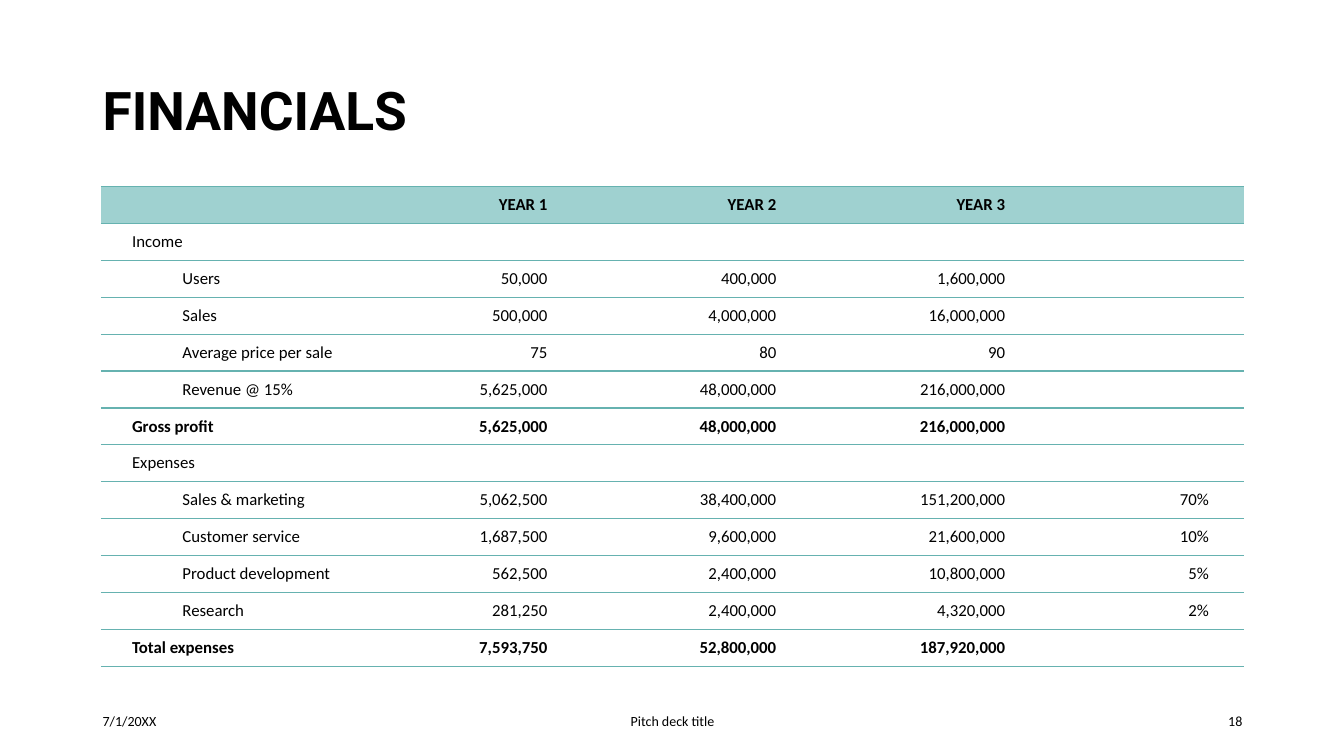
from dataclasses import dataclass

from lxml import etree
from pptx import Presentation
from pptx.dml.color import RGBColor
from pptx.enum.text import MSO_ANCHOR, PP_ALIGN
from pptx.oxml.ns import qn
from pptx.util import Emu, Pt

PX = 9144
LEFT, CENTER, RIGHT = PP_ALIGN.LEFT, PP_ALIGN.CENTER, PP_ALIGN.RIGHT
MIDDLE = MSO_ANCHOR.MIDDLE
COLORS = {"text": "000000", "header": "9FD1D0", "rule": "66B2B0"}
BODY_FONT, TITLE_FONT = "Calibri", "Roboto"
CELL_SIZE = 12
COLUMN_WIDTHS = (295, 158, 227, 227, 227)
TABLE_LEFT, TABLE_TOP, TABLE_HEIGHT = 100, 185, 476
LABEL_INSET, SHARE_INSET, ITEM_INDENT = 31, 35, 50


@dataclass(frozen=True)
class Label:
    text: str
    left: int
    top: int
    width: int
    height: int
    align: PP_ALIGN = LEFT
    size: int = 10
    font: str = BODY_FONT
    bold: bool = False
    line_spacing: float = 1.0


@dataclass(frozen=True)
class Row:
    label: str
    values: tuple[str, ...] = ("", "", "")
    share: str = ""
    bold: bool = False
    indented: bool = False
    header: bool = False


LABELS = (
    Label("FINANCIALS", 92, 40, 1150, 145, size=38, font=TITLE_FONT, bold=True, line_spacing=0.9),
    Label("7/1/20XX", 92, 695, 300, 40),
    Label("Pitch deck title", 442, 695, 450, 40, CENTER),
    Label("18", 942, 695, 300, 40, RIGHT),
)

ROWS = (
    Row("", ("YEAR 1", "YEAR 2", "YEAR 3"), bold=True, header=True),
    Row("Income"),
    Row("Users", ("50,000", "400,000", "1,600,000"), indented=True),
    Row("Sales", ("500,000", "4,000,000", "16,000,000"), indented=True),
    Row("Average price per sale", ("75", "80", "90"), indented=True),
    Row("Revenue @ 15%", ("5,625,000", "48,000,000", "216,000,000"), indented=True),
    Row("Gross profit", ("5,625,000", "48,000,000", "216,000,000"), bold=True),
    Row("Expenses"),
    Row("Sales & marketing", ("5,062,500", "38,400,000", "151,200,000"), "70%", indented=True),
    Row("Customer service", ("1,687,500", "9,600,000", "21,600,000"), "10%", indented=True),
    Row("Product development", ("562,500", "2,400,000", "10,800,000"), "5%", indented=True),
    Row("Research", ("281,250", "2,400,000", "4,320,000"), "2%", indented=True),
    Row("Total expenses", ("7,593,750", "52,800,000", "187,920,000"), bold=True),
)


def px(length: int) -> Emu:
    return Emu(length * PX)


def color(name: str) -> RGBColor:
    return RGBColor.from_string(COLORS[name])


def add_span(para, text: str, size: int, font: str, bold: bool) -> None:
    span = para.add_run()
    span.text = text
    span.font.size = Pt(size)
    span.font.name = font
    span.font.bold = bold
    span.font.color.rgb = color("text")


def add_label(page, label: Label) -> None:
    box = page.shapes.add_textbox(px(label.left), px(label.top), px(label.width), px(label.height))
    frame = box.text_frame
    frame.word_wrap = True
    frame.vertical_anchor = MIDDLE
    para = frame.paragraphs[0]
    para.alignment = label.align
    para.line_spacing = label.line_spacing
    add_span(para, label.text, label.size, label.font, label.bold)


def set_borders(cell) -> None:
    properties = cell._tc.get_or_add_tcPr()
    for position, side in enumerate(("lnL", "lnR", "lnT", "lnB")):
        line = etree.Element(qn(f"a:{side}"))
        if side in ("lnT", "lnB"):
            line.set("w", str(Pt(1)))
            fill = etree.SubElement(line, qn("a:solidFill"))
            etree.SubElement(fill, qn("a:srgbClr"), val=COLORS["rule"])
        else:
            etree.SubElement(line, qn("a:noFill"))
        properties.insert(position, line)


def fill_cell(cell, text: str, row: Row, align: PP_ALIGN) -> None:
    cell.vertical_anchor = MIDDLE
    if row.header:
        cell.fill.solid()
        cell.fill.fore_color.rgb = color("header")
    else:
        cell.fill.background()
    set_borders(cell)
    para = cell.text_frame.paragraphs[0]
    para.alignment = align
    if text:
        add_span(para, text, CELL_SIZE, BODY_FONT, row.bold)
    else:
        etree.SubElement(para._p, qn("a:endParaRPr"), sz=str(CELL_SIZE * 100))


def add_financials(page) -> None:
    frame = page.shapes.add_table(
        len(ROWS), len(COLUMN_WIDTHS), px(TABLE_LEFT), px(TABLE_TOP),
        px(sum(COLUMN_WIDTHS)), px(TABLE_HEIGHT),
    )
    table = frame.table
    table.first_row = False
    table.horz_banding = False
    for column, width in zip(table.columns, COLUMN_WIDTHS):
        column.width = px(width)
    for line, row in zip(table.rows, ROWS):
        line.height = Emu(px(TABLE_HEIGHT) // len(ROWS))
        name_cell, *value_cells, share_cell = line.cells
        fill_cell(name_cell, row.label, row, LEFT)
        name_cell.margin_left = px(LABEL_INSET)
        if row.indented:
            para = name_cell.text_frame.paragraphs[0]
            para.level = 1
            para._p.get_or_add_pPr().set("marL", str(px(ITEM_INDENT)))
        for cell, value in zip(value_cells, row.values):
            fill_cell(cell, value, row, RIGHT)
        fill_cell(share_cell, row.share, row, RIGHT)
        share_cell.margin_right = px(SHARE_INSET)


def main() -> None:
    deck = Presentation()
    deck.slide_width, deck.slide_height = px(1333), px(750)
    page = deck.slides.add_slide(deck.slide_layouts[6])
    add_financials(page)
    for label in LABELS:
        add_label(page, label)
    deck.save("out.pptx")


if __name__ == "__main__":
    main()
